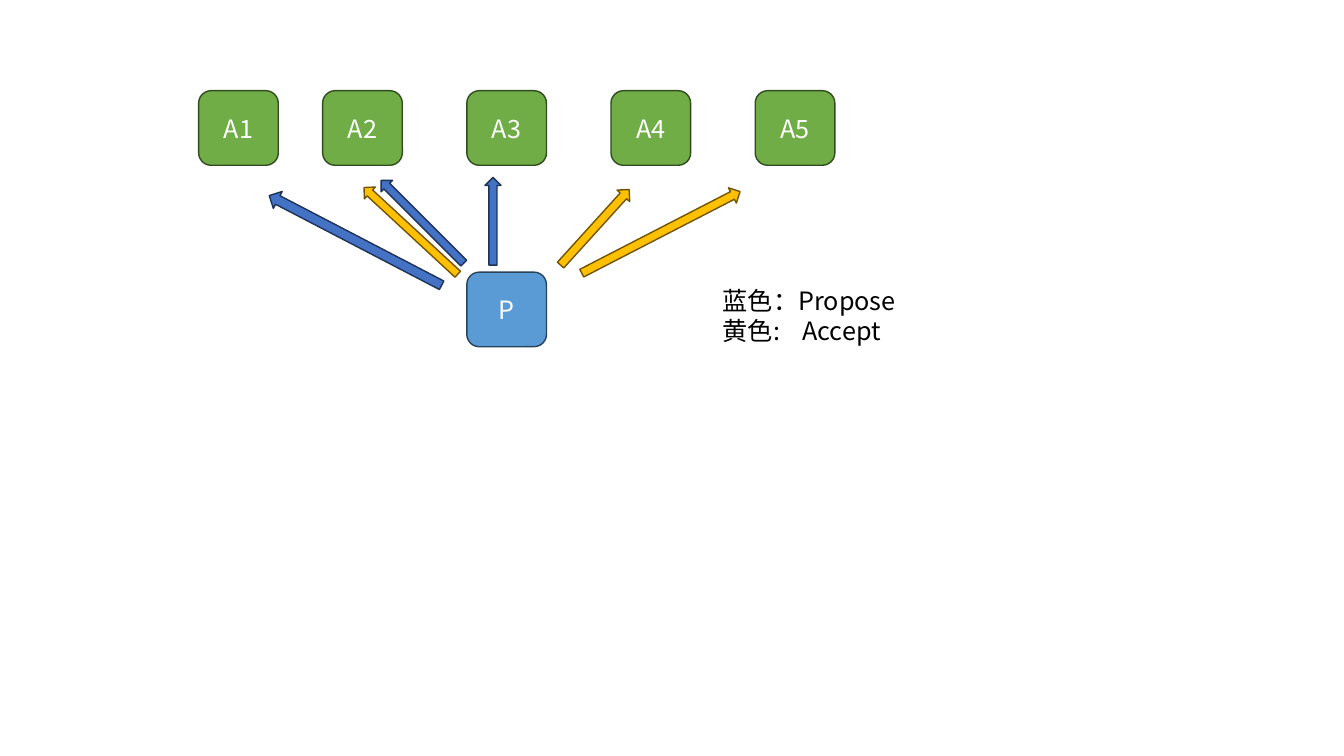
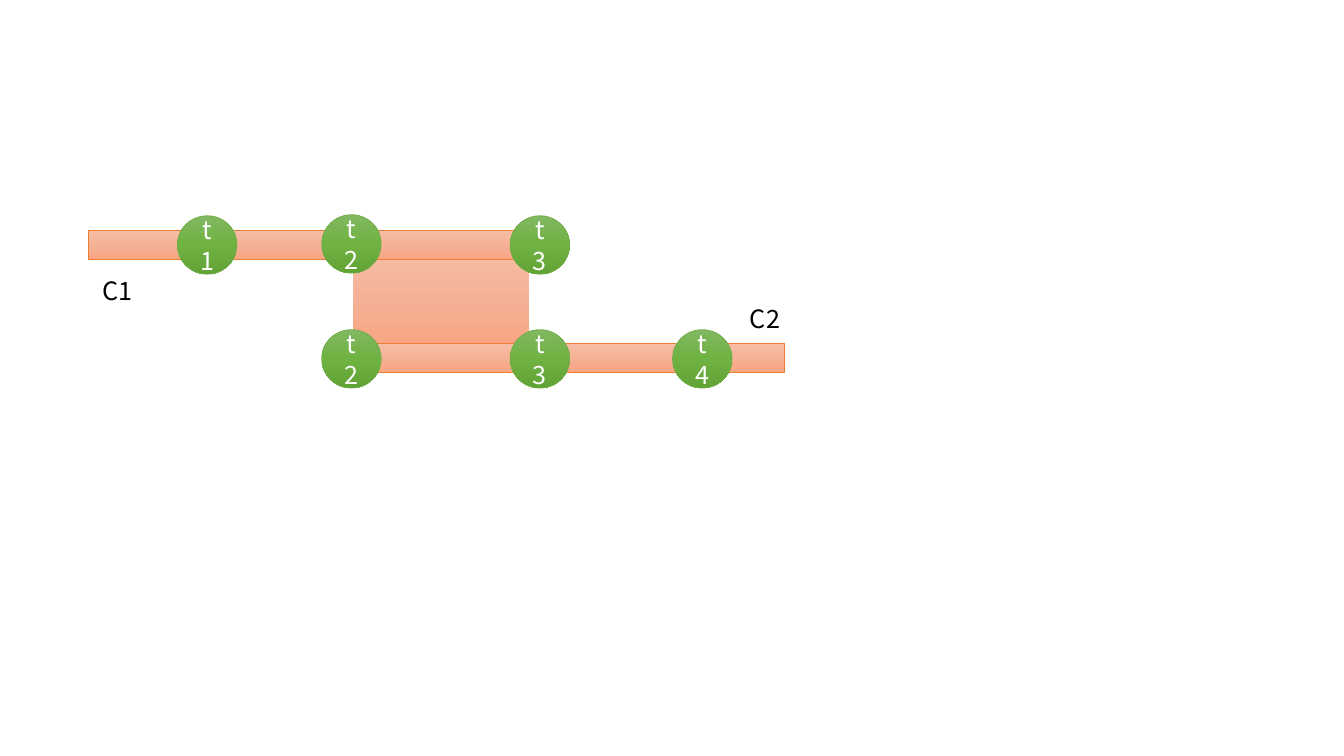
import math
from dataclasses import dataclass

import lxml.etree
import pptx
import pptx.dml.color
import pptx.enum.shapes
import pptx.enum.text
import pptx.oxml.ns
import pptx.util

SHAPE = pptx.enum.shapes.MSO_SHAPE
ALIGN = pptx.enum.text.PP_ALIGN
ANCHOR = pptx.enum.text.MSO_ANCHOR
In = pptx.util.Inches
qn = pptx.oxml.ns.qn


@dataclass(frozen=True)
class Theme:
    font: str = "Noto Sans CJK SC"
    size: int = 18
    text: str = "000000"
    on_fill: str = "FFFFFF"
    # (fill, line, line width); a tuple of fills is a vertical gradient
    acceptor: tuple = ("70AD47", "314C1F", 1)
    proposer: tuple = ("5B9BD5", "28445D", 1)
    propose: tuple = ("4472C4", "1E3256", 1)
    accept: tuple = ("FFC000", "705400", 1)
    overlap: tuple = (("F7BDA5", "F5B196", "F8A582"), None, 0)
    bar: tuple = (("F7BDA5", "F5B196", "F8A582"), "ED7D31", 0.5)
    tick: tuple = (("81B861", "6FB242", "62A336"), "70AD47", 0.5)


T = Theme()

# Slide 1: message flow
BOX_W, BOX_H = 0.79, 0.74
ACCEPTOR_Y, PROPOSER_Y = 0.9, 2.7
A2_X, PITCH = 3.2, 1.43
ACCEPTORS = [("A1", 1.97)] + [(f"A{i + 2}", A2_X + i * PITCH) for i in range(4)]
PROPOSER = ("P", A2_X + PITCH)
ARROWS = [  # style, tail, head, thickness
    (T.propose, (4.38, 2.83), (2.67, 1.94), 0.19),
    (T.propose, (4.89, 2.63), (4.89, 1.76), 0.16),
    (T.propose, (4.6, 2.61), (3.78, 1.79), 0.16),
    (T.accept, (5.56, 2.63), (6.24, 1.88), 0.17),
    (T.accept, (5.77, 2.71), (7.34, 1.9), 0.17),
    (T.accept, (4.54, 2.72), (3.61, 1.86), 0.16),
]
LEGEND = ["蓝色：Propose", "黄色:\tAccept"]
LEGEND_TAB = 0.79

# Slide 2: two overlapping time lines
BAR_H, TICK_W, TICK_H = 0.28, 0.59, 0.58
OVERLAP = (3.5, 2.48, 1.75, 0.97)
TRACKS = [
    dict(name="C1", label=(0.92, 2.68), bar=(0.88, 2.29, 4.6),
         ticks=[("t1", 1.76, 2.14), ("t3", 5.06, 2.14), ("t2", 3.19, 2.13)]),
    dict(name="C2", label=(7.34, 2.96), bar=(3.49, 3.41, 4.29),
         ticks=[("t3", 5.06, 3.27), ("t2", 3.19, 3.27), ("t4", 6.67, 3.27)]),
]


def rgb(value):
    return pptx.dml.color.RGBColor.from_string(value)


def write(p, text, color):
    p.text = text
    p.font.size = pptx.util.Pt(T.size)
    for r in p.runs:
        r.font.name = T.font
        r.font.color.rgb = rgb(color)
        ea = lxml.etree.SubElement(r.font._element, qn("a:ea"))
        ea.set("typeface", T.font)


def gradient(sp, colors):
    sp.fill.gradient()
    sp.fill.gradient_angle = 270
    stops = sp._element.spPr.find(".//" + qn("a:gsLst"))
    stops.clear()
    for i, color in enumerate(colors):
        gs = lxml.etree.SubElement(stops, qn("a:gs"))
        gs.set("pos", str(100000 * i // (len(colors) - 1)))
        lxml.etree.SubElement(gs, qn("a:srgbClr")).set("val", color)


def add_shape(slide, kind, box, style, text=None):
    fill, line, width = style
    sp = slide.shapes.add_shape(kind, *map(In, box))
    sp.shadow.inherit = False
    if isinstance(fill, tuple):
        gradient(sp, fill)
    else:
        sp.fill.solid()
        sp.fill.fore_color.rgb = rgb(fill)
    if line:
        sp.line.color.rgb = rgb(line)
        sp.line.width = pptx.util.Pt(width)
    else:
        sp.line.fill.background()
    if text:
        tf = sp.text_frame
        tf.vertical_anchor = ANCHOR.MIDDLE
        p = tf.paragraphs[0]
        p.alignment = ALIGN.CENTER
        write(p, text, T.on_fill)
    return sp


def add_arrow(slide, style, tail, head, thickness):
    (x1, y1), (x2, y2) = tail, head
    length = math.dist(tail, head)
    box = ((x1 + x2 - length) / 2, (y1 + y2 - thickness) / 2, length, thickness)
    sp = add_shape(slide, SHAPE.RIGHT_ARROW, box, style)
    sp.rotation = math.degrees(math.atan2(y2 - y1, x2 - x1)) % 360


def add_text(slide, box, lines):
    tf = slide.shapes.add_textbox(*map(In, box)).text_frame
    tf.word_wrap = True
    for i, line in enumerate(lines):
        p = tf.add_paragraph() if i else tf.paragraphs[0]
        write(p, line, T.text)
        if "\t" in line:
            tabs = lxml.etree.SubElement(p._p.get_or_add_pPr(), qn("a:tabLst"))
            # Tab stops precede the default run properties
            tabs.getparent().insert(0, tabs)
            tab = lxml.etree.SubElement(tabs, qn("a:tab"))
            tab.set("pos", str(In(LEGEND_TAB)))
            tab.set("algn", "l")


def build_messages(slide):
    for name, x in ACCEPTORS:
        add_shape(slide, SHAPE.ROUNDED_RECTANGLE,
                  (x, ACCEPTOR_Y, BOX_W, BOX_H), T.acceptor, name)
    name, x = PROPOSER
    add_shape(slide, SHAPE.ROUNDED_RECTANGLE,
              (x, PROPOSER_Y, BOX_W, BOX_H), T.proposer, name)
    for arrow in ARROWS:
        add_arrow(slide, *arrow)
    add_text(slide, (7.07, 2.78, 2.22, 0.71), LEGEND)


def build_timelines(slide):
    add_shape(slide, SHAPE.RECTANGLE, OVERLAP, T.overlap)
    for track in TRACKS:
        add_shape(slide, SHAPE.RECTANGLE, (*track["bar"], BAR_H), T.bar)
    for track in TRACKS:
        for name, x, y in track["ticks"]:
            add_shape(slide, SHAPE.OVAL, (x, y, TICK_W, TICK_H), T.tick, name)
        add_text(slide, (*track["label"], 0.87, 0.4), [track["name"]])


def main():
    prs = pptx.Presentation()
    prs.slide_width, prs.slide_height = In(13.33), In(7.5)
    for build in (build_messages, build_timelines):
        build(prs.slides.add_slide(prs.slide_layouts[6]))
    prs.save("out.pptx")


if __name__ == "__main__":
    main()
